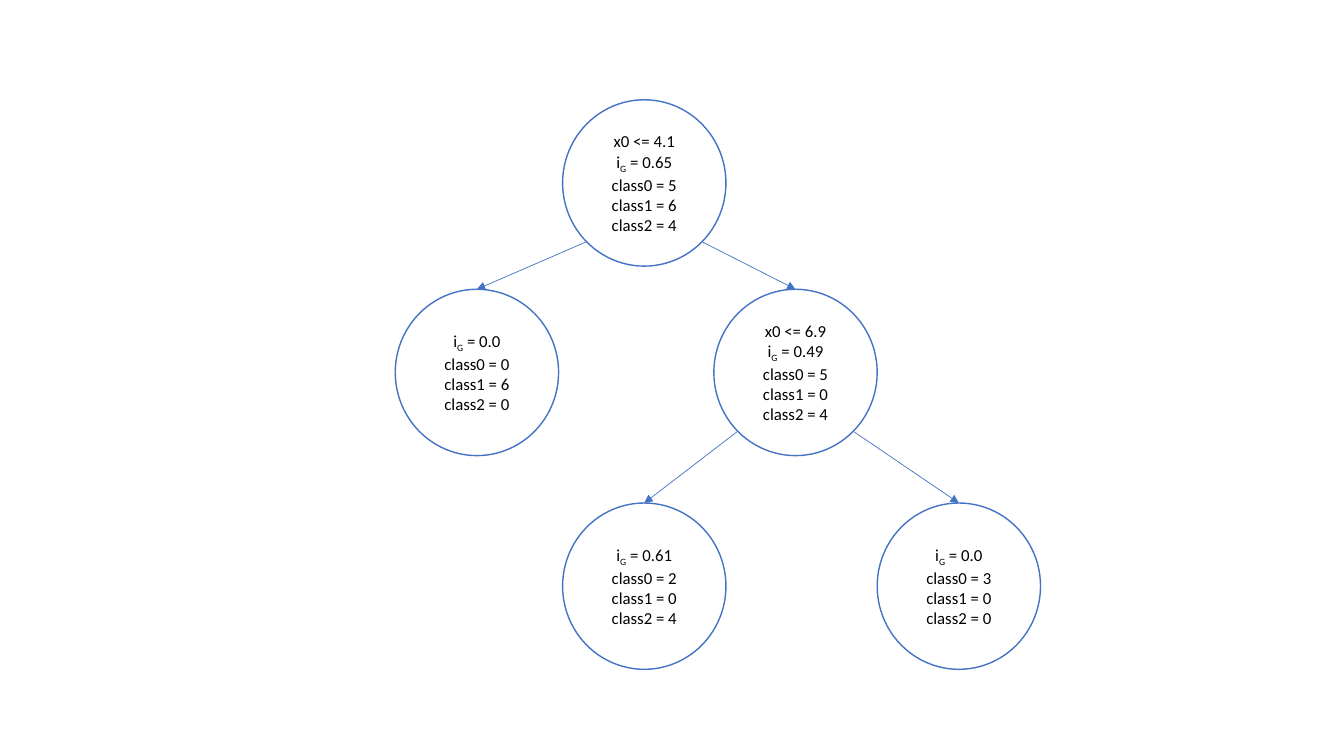
from math import sqrt

from lxml.etree import SubElement
from pptx import Presentation
from pptx.dml.color import RGBColor
from pptx.enum.shapes import MSO_CONNECTOR as Connector, MSO_SHAPE as Shape
from pptx.enum.text import MSO_ANCHOR as Anchor, PP_ALIGN as Align
from pptx.oxml.ns import qn
from pptx.util import Inches, Pt

BLUE, WHITE, BLACK = "4472C4", "FFFFFF", "000000"
NODE_WIDTH, NODE_HEIGHT = 1.62, 1.65
FONT = {"name": "Calibri", "size": Pt(12)}
FRAME = {"word_wrap": True, "vertical_anchor": Anchor.MIDDLE}

NODES = {
    "root": (5.58, 0.99, "x0 <= 4.1", "0.65", (5, 6, 4)),
    "left": (3.92, 2.87, None, "0.0", (0, 6, 0)),
    "right": (7.08, 2.87, "x0 <= 6.9", "0.49", (5, 0, 4)),
    "right_left": (5.58, 4.99, None, "0.61", (2, 0, 4)),
    "right_right": (8.7, 4.99, None, "0.0", (3, 0, 0)),
}
BRANCHES = [("root", "left"), ("root", "right"),
            ("right", "right_left"), ("right", "right_right")]


def color(target, value):
    target.rgb = RGBColor.from_string(value)


def apply(target, values):
    for name, value in values.items():
        setattr(target, name, value)


def style_line(line, width):
    line.width = Pt(width)
    color(line.fill.fore_color, BLUE)


def add_span(para, text, baseline=None):
    span = para.add_run()
    span.text = text
    apply(span.font, FONT)
    color(span.font.color, BLACK)
    if baseline:
        span.font._element.set("baseline", baseline)


def add_node(page, box, split, impurity, counts):
    node = page.shapes.add_shape(Shape.OVAL, *map(Inches, box))
    node.shadow.inherit = False
    node.fill.solid()
    color(node.fill.fore_color, WHITE)
    node.line.fill.solid()
    style_line(node.line, 1)
    apply(node.text_frame, FRAME)

    rows = [[(split,)]] if split else []
    rows.append([("i",), ("G", "-25000"), (f" = {impurity}",)])
    rows += [[(f"class{index} = {count}",)] for index, count in enumerate(counts)]
    for number, row in enumerate(rows):
        frame = node.text_frame
        para = frame.add_paragraph() if number else frame.paragraphs[0]
        para.alignment = Align.CENTER
        for part in row:
            add_span(para, *part)
    return node


def add_branch(page, parent, child):
    side = 1 if child.left > parent.left else -1
    reach = 1 / sqrt(2)
    start_x = parent.left + parent.width / 2 * (1 + side * reach)
    start_y = parent.top + parent.height / 2 * (1 + reach)
    branch = page.shapes.add_connector(
        Connector.STRAIGHT, int(start_x), int(start_y),
        child.left + child.width // 2, child.top)
    branch.end_connect(child, 0)
    branch.line.fill.solid()
    style_line(branch.line, 0.5)
    SubElement(branch.line._get_or_add_ln(), qn("a:tailEnd"), type="triangle")
    SubElement(branch._element.spPr, qn("a:effectLst"))


def add_tree(page):
    nodes = {
        name: add_node(page, (left, top, NODE_WIDTH, NODE_HEIGHT), *content)
        for name, (left, top, *content) in NODES.items()
    }
    for parent, child in BRANCHES:
        add_branch(page, nodes[parent], nodes[child])


deck = Presentation()
deck.slide_width, deck.slide_height = Inches(13.33), Inches(7.5)
add_tree(deck.slides.add_slide(deck.slide_layouts[6]))
deck.save("out.pptx")
